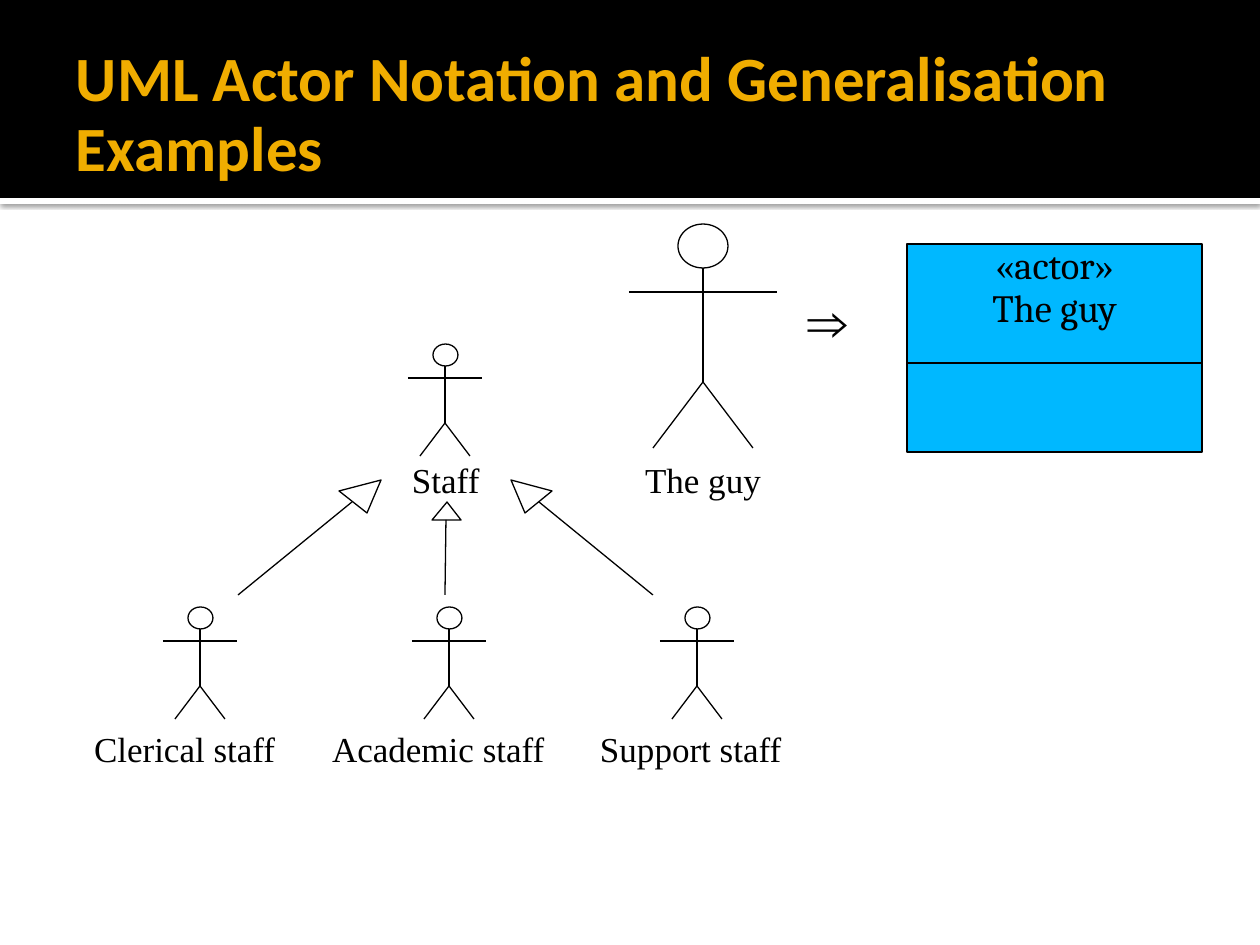
import pptx
import pptx.util
import pptx.oxml
import pptx.oxml.ns
import pptx.dml.color
import pptx.enum.shapes
import pptx.enum.text

SCALE = 914400 / 126
HUES = {"ink": "000000", "paper": "FFFFFF", "gold": "F0AD00", "sky": "00B8FF"}
KIND = pptx.enum.shapes.MSO_SHAPE
ALIGN = pptx.enum.text.PP_ALIGN
ANCHOR = pptx.enum.text.MSO_ANCHOR
SHADE = (
    '<a:effectLst %s><a:outerShdw blurRad="31750" dist="10160" dir="5400000">'
    '<a:srgbClr val="000000"><a:alpha val="60000"/></a:srgbClr>'
    '</a:outerShdw></a:effectLst>' % pptx.oxml.ns.nsdecls("a")
)


def emu(px):
    return pptx.util.Emu(round(px * SCALE))


def hue(name):
    return pptx.dml.color.RGBColor.from_string(HUES[name])


def put(thing, vals):
    for key, val in vals.items():
        setattr(thing, key, val)


def ink(line):
    line.color.rgb = hue("ink")
    line.width = pptx.util.Pt(0.75)


def paint(shape, fill=None, edge=True):
    shape.shadow.inherit = False
    if fill:
        shape.fill.solid()
        shape.fill.fore_color.rgb = hue(fill)
    else:
        shape.fill.background()
    if edge:
        ink(shape.line)
    else:
        shape.line.fill.background()
    return shape


def form(slide, kind, box, fill=None, edge=True):
    shape = slide.shapes.add_shape(kind, *map(emu, box))
    return paint(shape, fill, edge)


def line(slide, start, end):
    link = slide.shapes.add_connector(
        pptx.enum.shapes.MSO_CONNECTOR.STRAIGHT, *map(emu, start + end))
    ink(link.line)
    props = link._element.spPr
    props.append(pptx.oxml.parse_xml(
        "<a:effectLst %s/>" % pptx.oxml.ns.nsdecls("a")))


def write(shape, paras, size, tone="ink", bold=False, pad=(0, 0),
          frame=None, para=None):
    text = shape.text_frame
    side, top = map(emu, pad)
    put(text, {"word_wrap": True, "margin_left": side, "margin_right": side,
               "margin_top": top, "margin_bottom": top,
               "vertical_anchor": ANCHOR.TOP})
    put(text, frame or {})
    for i, runs in enumerate(paras):
        block = text.paragraphs[0] if i == 0 else text.add_paragraph()
        put(block, {"line_spacing": 0.93, "alignment": ALIGN.LEFT})
        put(block, para or {})
        for words, face in runs:
            run = block.add_run()
            run.text = words
            put(run.font, {"name": face, "size": pptx.util.Pt(size), "bold": bold})
            run.font.color.rgb = hue(tone)


def label(slide, words, box, size=20, face="Times New Roman", **style):
    shape = slide.shapes.add_textbox(*map(emu, box))
    write(shape, [[(words, face)]], size, **style)


def actor(slide, mid, top, unit=1):
    neck, arm, hip, foot = (top + unit * n for n in (22, 34, 79, 112))
    half, reach = 25 * unit, 37 * unit
    form(slide, KIND.OVAL, (mid - half // 2, top, half, 22 * unit))
    line(slide, (mid, neck), (mid, hip))
    line(slide, (mid - reach, arm), (mid + reach, arm))
    for foot_x in (mid - half, mid + half):
        line(slide, (mid, hip), (foot_x, foot))


def parent(slide, tip, left, right, base, tail):
    path = slide.shapes.build_freeform(*tip, scale=SCALE)
    path.add_line_segments([left, right], close=True)
    paint(path.convert_to_shape())
    line(slide, tail, base)


def header(slide):
    bar = form(slide, KIND.RECTANGLE, (0, 198, 1260, 6), "paper", False)
    props = bar._element.spPr
    props.remove(props.find(pptx.oxml.ns.qn("a:effectLst")))
    props.append(pptx.oxml.parse_xml(SHADE))
    form(slide, KIND.RECTANGLE, (0, 0, 1260, 198), "ink", False)
    label(slide, "UML Actor Notation and Generalisation Examples",
          (63, 45, 1134, 141), 36, "Calibri", tone="gold", bold=True,
          pad=(13, 6), frame={"vertical_anchor": ANCHOR.MIDDLE})


def klass(slide):
    box = form(slide, KIND.RECTANGLE, (907, 244, 295, 208), "sky")
    write(box, [[("«", "Times New Roman"), ("actor", "Cambria"),
                 ("»", "Times New Roman")], [("The guy", "Cambria")]],
          22, para={"alignment": ALIGN.CENTER, "line_spacing": 0.95})
    line(slide, (907, 363), (1202, 363))


def main():
    deck = pptx.Presentation()
    put(deck, {"slide_width": emu(1260), "slide_height": emu(945)})
    slide = deck.slides.add_slide(deck.slide_layouts[6])
    header(slide)
    klass(slide)
    actor(slide, 703, 224, 2)
    actor(slide, 445, 344)
    for mid in (200, 449, 697):
        actor(slide, mid, 607)
    for words, left, top, width in (
            ("Staff", 412, 462, 79), ("Clerical staff", 94, 731, 223),
            ("Academic staff", 332, 731, 256), ("Support staff", 600, 731, 210)):
        label(slide, words, (left, top, width, 43))
    label(slide, "The guy", (640, 462, 126, 40), para={"alignment": ALIGN.CENTER})
    label(slide, "⇒", (808, 297, 74, 69), 32, "Arial",
          para={"line_spacing": pptx.util.Pt(32.6)})
    parent(slide, (381, 480), (339, 491), (367, 513), (352, 502), (238, 595))
    parent(slide, (447, 502), (432, 520), (461, 520), (446, 520), (445, 595))
    parent(slide, (511, 480), (552, 491), (525, 513), (539, 502), (653, 595))
    deck.save("out.pptx")


if __name__ == "__main__":
    main()
